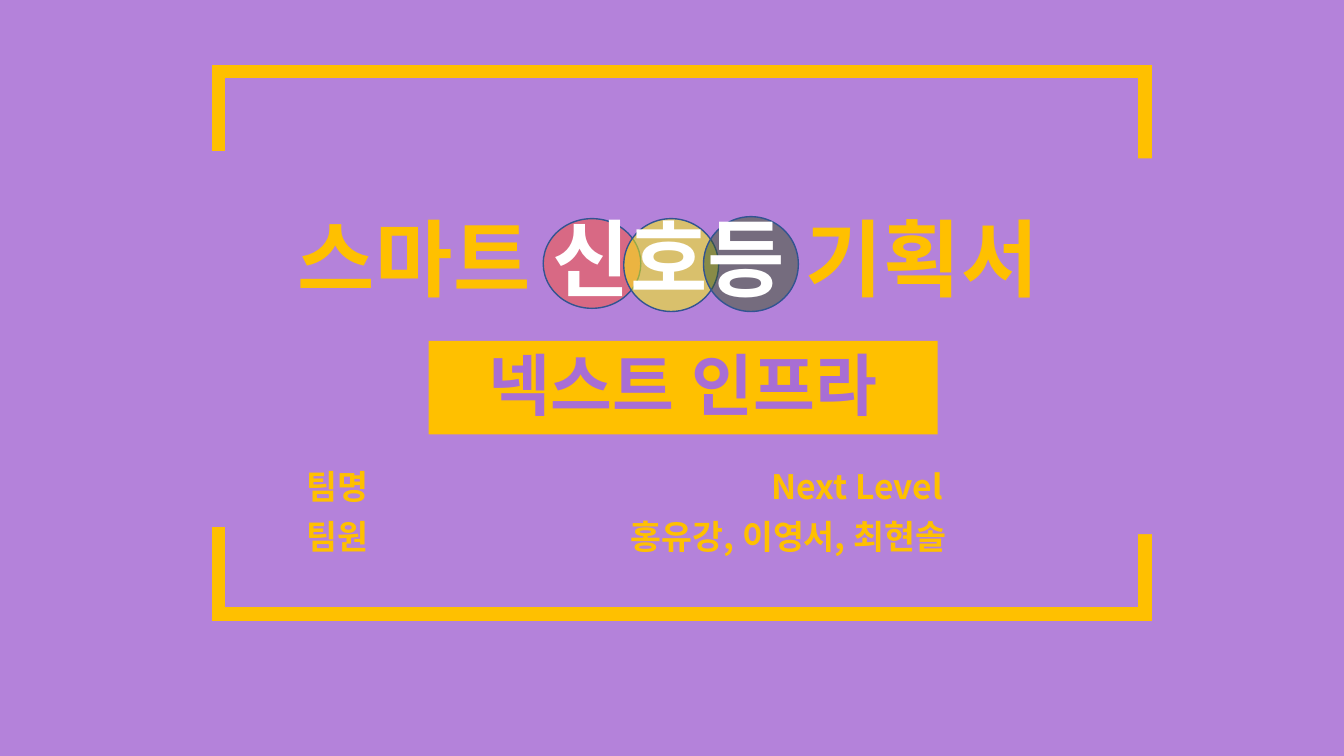
from dataclasses import dataclass
from typing import Optional

from lxml.etree import SubElement
from pptx import Presentation
from pptx.dml.color import RGBColor
from pptx.enum.shapes import MSO_SHAPE
from pptx.enum.text import MSO_ANCHOR, MSO_AUTO_SIZE, PP_ALIGN
from pptx.oxml.ns import qn
from pptx.util import Cm, Pt


@dataclass(frozen=True)
class Theme:
    font: str = "Noto Sans CJK KR"
    background: str = "B482DA"
    gold: str = "FFC000"
    purple: str = "A86ED4"
    white: str = "FFFFFF"
    outline: str = "325491"
    red: str = "FD512F"
    yellow: str = "FFFF00"
    green: str = "385723"
    title_size: float = 60
    banner_size: float = 48
    team_size: float = 24


@dataclass(frozen=True)
class Box:
    left: float
    top: float
    width: float
    height: float

    def lengths(self) -> tuple:
        return Cm(self.left), Cm(self.top), Cm(self.width), Cm(self.height)


@dataclass(frozen=True)
class Figure:
    box: Box
    fill: Optional[str] = None
    line: Optional[str] = None
    line_width: float = 1
    kind: MSO_SHAPE = MSO_SHAPE.RECTANGLE
    opacity: int = 100


@dataclass(frozen=True)
class Piece:
    """A run of text; tracking is the extra space between letters in points."""
    text: str
    size: float
    color: str
    tracking: float = 0


@dataclass(frozen=True)
class TeamLine:
    text: str
    indent: float = 0


THEME = Theme()


def lamp(box: Box, color: str) -> Figure:
    return Figure(box, color, THEME.outline, kind=MSO_SHAPE.OVAL, opacity=50)


BACKDROP = Figure(Box(-0.79, -0.79, 36.04, 20.22), THEME.background, THEME.outline)
FRAME = Figure(Box(5.51, 1.8, 23.34, 13.67), line=THEME.gold, line_width=9.75,
               kind=MSO_SHAPE.FLOWCHART_PROCESS)
FRAME_GAPS = [Figure(Box(left, top, 3.91, 9.47), THEME.background)
              for left, top in ((3.56, 3.81), (26.21, 3.99))]
BANNER = Figure(Box(10.8, 8.59, 12.83, 2.36), THEME.gold)
LAMPS = [
    lamp(Box(13.69, 5.51, 2.46, 2.26), THEME.red),
    lamp(Box(15.72, 5.51, 2.39, 2.34), THEME.yellow),
    lamp(Box(17.73, 5.46, 2.39, 2.39), THEME.green),
]
TITLE_BOX = Box(4.14, 3.3, 25.4, 4.6)
LABELS_BOX = Box(7.47, 11.73, 4, 2.77)
VALUES_BOX = Box(15.65, 11.73, 11.56, 2.77)
TITLE = [
    Piece("스마트 ", THEME.title_size, THEME.gold, 0.9),
    Piece("신호등", THEME.title_size, THEME.white),
    Piece(" 기획서", THEME.title_size, THEME.gold, 0.9),
]
BANNER_TEXT = Piece("넥스트 인프라", THEME.banner_size, THEME.purple, 0.45)
LABELS = [TeamLine("팀명"), TeamLine("팀원")]
VALUES = [TeamLine("Next Level", 3.55), TeamLine("홍유강, 이영서, 최현솔")]


def rgb(color: str) -> RGBColor:
    return RGBColor.from_string(color)


def add_piece(paragraph, piece: Piece) -> None:
    run = paragraph.add_run()
    run.text = piece.text
    font = run.font
    font.name, font.size, font.bold = THEME.font, Pt(piece.size), True
    font.color.rgb = rgb(piece.color)
    properties = run._r.get_or_add_rPr()
    SubElement(properties, qn("a:ea"), typeface=THEME.font)
    if piece.tracking:
        properties.set("spc", str(round(piece.tracking * 100)))


def draw_figure(slide, figure: Figure):
    shape = slide.shapes.add_shape(figure.kind, *figure.box.lengths())
    shape.shadow.inherit = False
    if figure.fill:
        shape.fill.solid()
        shape.fill.fore_color.rgb = rgb(figure.fill)
        if figure.opacity < 100:
            color = shape._element.spPr.find(qn("a:solidFill")).find(qn("a:srgbClr"))
            SubElement(color, qn("a:alpha"), val=str(figure.opacity * 1000))
    else:
        shape.fill.background()
    if figure.line:
        shape.line.color.rgb = rgb(figure.line)
        shape.line.width = Pt(figure.line_width)
        SubElement(shape.line._get_or_add_ln(), qn("a:miter"), lim="800000")
    else:
        shape.line.fill.background()
    return shape


def prepare_frame(shape, anchor: MSO_ANCHOR):
    frame = shape.text_frame
    frame.word_wrap = True
    frame.auto_size = MSO_AUTO_SIZE.NONE
    frame.vertical_anchor = anchor
    return frame


def place(placeholder, box: Box, anchor: MSO_ANCHOR):
    """Move a placeholder in front of the other shapes and return its text frame."""
    placeholder.left, placeholder.top, placeholder.width, placeholder.height = box.lengths()
    placeholder._element.getparent().append(placeholder._element)
    return prepare_frame(placeholder, anchor)


def write_centred(frame, pieces: list[Piece]) -> None:
    paragraph = frame.paragraphs[0]
    paragraph.alignment = PP_ALIGN.CENTER
    paragraph.line_spacing = 0.9
    for piece in pieces:
        add_piece(paragraph, piece)


def write_team(frame, lines: list[TeamLine]) -> None:
    for index, line in enumerate(lines):
        paragraph = frame.add_paragraph() if index else frame.paragraphs[0]
        paragraph.alignment = PP_ALIGN.LEFT
        paragraph.line_spacing = 0.9
        paragraph.space_before = Pt(10 if index else 0)
        if line.indent:
            paragraph._p.get_or_add_pPr().set("marL", str(Cm(line.indent)))
        add_piece(paragraph, Piece(line.text, THEME.team_size, THEME.gold))


def main() -> None:
    presentation = Presentation()
    presentation.slide_width, presentation.slide_height = Cm(33.87), Cm(19.05)
    slide = presentation.slides.add_slide(presentation.slide_layouts[0])
    for figure in [BACKDROP, FRAME, *FRAME_GAPS]:
        draw_figure(slide, figure)
    banner_frame = prepare_frame(draw_figure(slide, BANNER), MSO_ANCHOR.BOTTOM)
    banner_frame.margin_bottom = Cm(0.25)
    write_centred(banner_frame, [BANNER_TEXT])
    for figure in LAMPS:
        draw_figure(slide, figure)
    write_centred(place(slide.shapes.title, TITLE_BOX, MSO_ANCHOR.BOTTOM), TITLE)
    write_team(place(slide.placeholders[1], LABELS_BOX, MSO_ANCHOR.TOP), LABELS)
    values = slide.shapes.add_textbox(*VALUES_BOX.lengths())
    write_team(prepare_frame(values, MSO_ANCHOR.TOP), VALUES)
    presentation.save("out.pptx")


if __name__ == "__main__":
    main()
